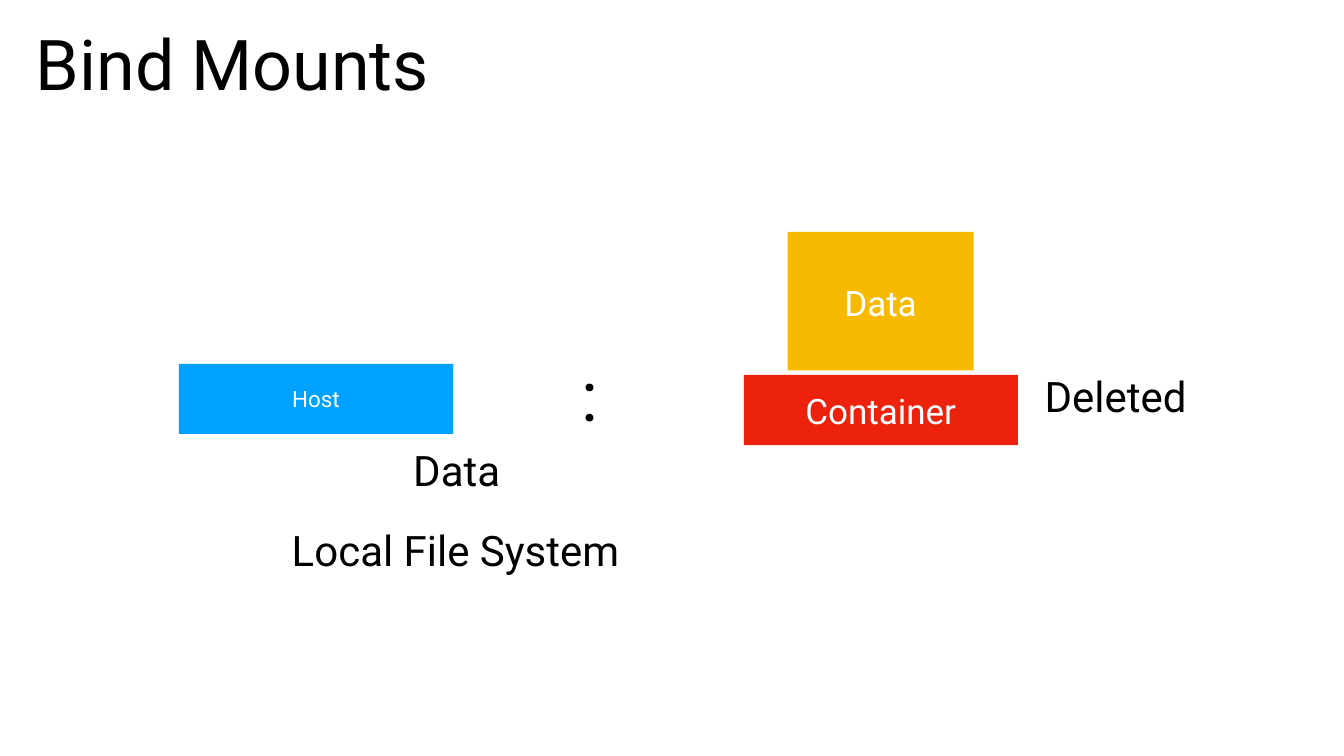
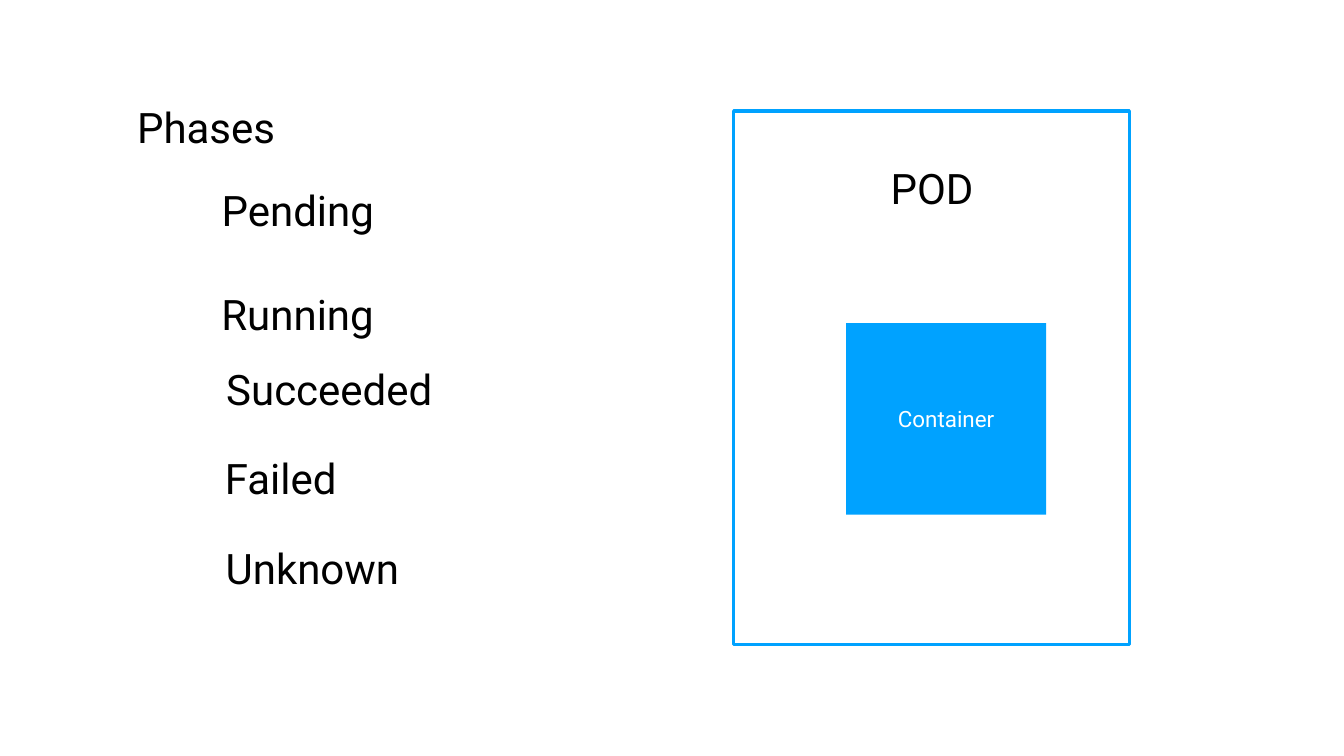
from pptx import Presentation, util as u
from pptx.dml.color import RGBColor
from pptx.enum import shapes, text

# Shared style
FONT = "Roboto"
BLACK, WHITE = "000000", "FFFFFF"
BLUE, RED, YELLOW = "00A2FF", "ED220D", "F7BA01"
TITLE_SIZE, BODY_SIZE, BOX_SIZE, SMALL_SIZE = 100, 60, 50, 32
INSET = 0.06
LABEL_HEIGHT = 1.09
TITLE_ONLY = 5
LEFT, CENTER = text.PP_ALIGN.LEFT, text.PP_ALIGN.CENTER

# Bind mounts: content and places (left, top, width, height)
MOUNT_TITLE = ("Bind Mounts", (0.65, 0.49, 8.05, 1.73))
MOUNT_BOXES = [
    ("Container", (14.76, 7.44, 5.44, 1.39), RED, BOX_SIZE),
    ("", (15.63, 4.6, 3.69, 2.75), YELLOW, BOX_SIZE),
    ("Host", (3.55, 7.22, 5.44, 1.39), BLUE, SMALL_SIZE),
]
STORED_DATA = ("Data", (16.66, 5.54, 1.63, 0.94))
MOUNT_LABELS = [
    ("Data", (8.14, 8.83, 1.87, LABEL_HEIGHT), BODY_SIZE),
    (":", (11.47, 7.05, 0.51, 1.73), TITLE_SIZE),
    ("Deleted", (20.67, 7.37, 3, LABEL_HEIGHT), BODY_SIZE),
    ("Local File System", (5.73, 10.43, 6.7, LABEL_HEIGHT), BODY_SIZE),
]

# Pod phases: content and places
PHASE_TITLE = ("Phases", (2.66, 1.97, 2.86, LABEL_HEIGHT))
PHASES = [  # name, left, top, width
    ("Pending", 4.31, 3.62, 3.2),
    ("Running", 4.3, 5.68, 3.21),
    ("Succeeded", 4.36, 7.17, 4.35),
    ("Failed", 4.39, 8.94, 2.36),
    ("Unknown", 4.37, 10.71, 3.66),
]
POD_FRAME = (14.56, 2.2, 7.85, 10.59)
POD_LABEL = ("POD", (17.55, 3.18, 1.89, LABEL_HEIGHT))
POD_CONTAINER = ("Container", (16.79, 6.41, 3.97, 3.8))


def rgb(color):
    return RGBColor.from_string(color)


def place(shape, area):
    shape.left, shape.top, shape.width, shape.height = map(u.Inches, area)


def write(shape, words, size, color, align=CENTER, inset=INSET):
    """Put one line of text, centred vertically, in a shape."""
    frame = shape.text_frame
    frame.vertical_anchor = text.MSO_ANCHOR.MIDDLE
    frame.margin_left = frame.margin_right = u.Inches(inset)
    frame.margin_top = frame.margin_bottom = u.Inches(inset)
    paragraph = frame.paragraphs[0]
    paragraph.alignment = align
    if align == LEFT:
        paragraph.line_spacing = 0.9
        paragraph.space_before = u.Pt(45)
    run = paragraph.add_run()
    run.text = words
    run.font.name, run.font.size = FONT, u.Pt(size)
    run.font.color.rgb = rgb(color)


def fit(shape):
    """Let a label hug its single line."""
    shape.text_frame.word_wrap = False
    shape.text_frame.auto_size = text.MSO_AUTO_SIZE.SHAPE_TO_FIT_TEXT


def add_label(slide, words, area, size=BODY_SIZE, color=BLACK, align=CENTER):
    shape = slide.shapes.add_textbox(*map(u.Inches, area))
    write(shape, words, size, color, align)
    fit(shape)


def add_box(slide, area, fill=None, line=None):
    shape = slide.shapes.add_shape(shapes.MSO_SHAPE.RECTANGLE, *map(u.Inches, area))
    shape.shadow.inherit = False
    if fill:
        shape.fill.solid()
        shape.fill.fore_color.rgb = rgb(fill)
    else:
        shape.fill.background()
    if line:
        shape.line.color.rgb = rgb(line)
        shape.line.width = u.Pt(5)
    else:
        shape.line.fill.background()
    return shape


def add_slide(presentation, title, size, align):
    slide = presentation.slides.add_slide(presentation.slide_layouts[TITLE_ONLY])
    words, area = title
    place(slide.shapes.title, area)
    write(slide.shapes.title, words, size, BLACK, align)
    fit(slide.shapes.title)
    return slide


presentation = Presentation()
presentation.slide_width, presentation.slide_height = u.Inches(26.67), u.Inches(15)

# Slide 1: bind mounts
slide = add_slide(presentation, MOUNT_TITLE, TITLE_SIZE, LEFT)
for words, area, fill, size in MOUNT_BOXES:
    box = add_box(slide, area, fill)
    if words:
        write(box, words, size, WHITE)
add_label(slide, *STORED_DATA, BOX_SIZE, WHITE)
for words, area, size in MOUNT_LABELS:
    add_label(slide, words, area, size, align=LEFT)

# Slide 2: pod phases
slide = add_slide(presentation, PHASE_TITLE, BODY_SIZE, CENTER)
for words, left, top, width in PHASES:
    add_label(slide, words, (left, top, width, LABEL_HEIGHT))
add_box(slide, POD_FRAME, line=BLUE)
add_label(slide, *POD_LABEL)
words, area = POD_CONTAINER
write(add_box(slide, area, BLUE), words, SMALL_SIZE, WHITE, inset=0)

presentation.save("out.pptx")
